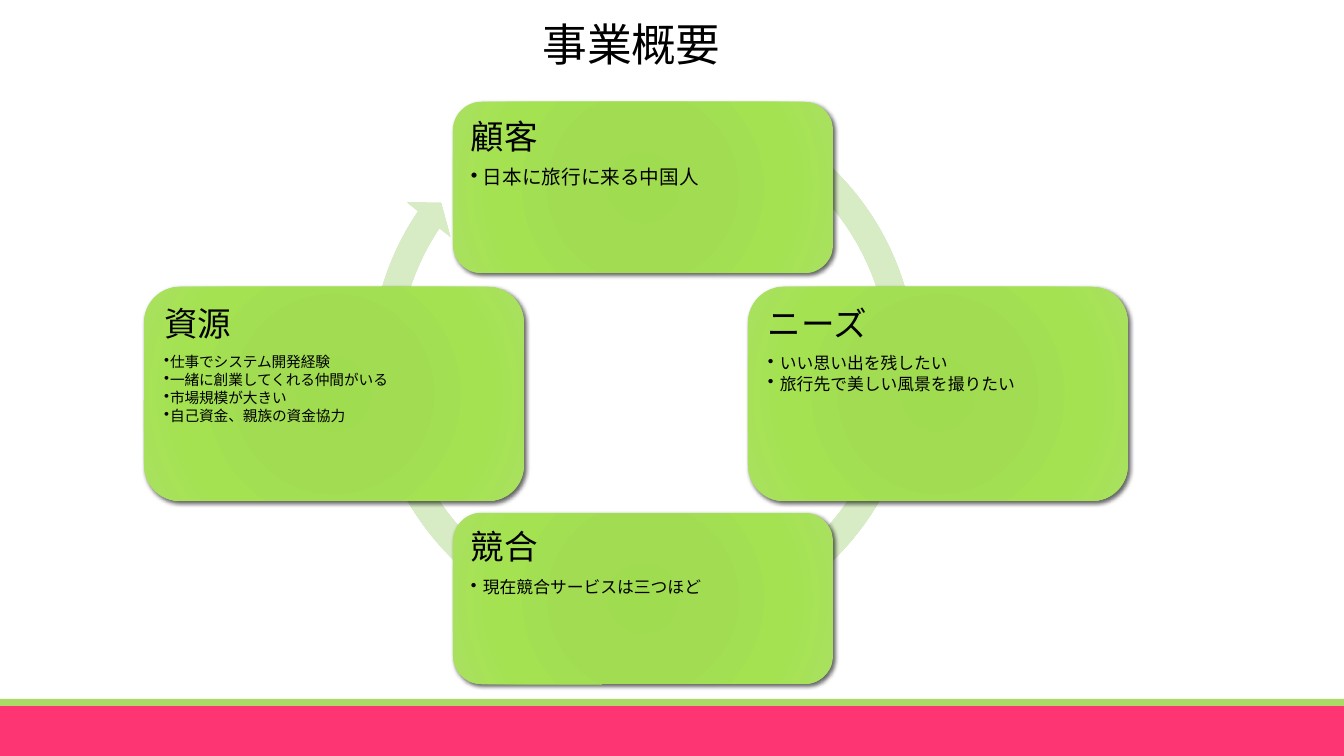
from typing import NamedTuple

from lxml.etree import SubElement
from pptx import Presentation
from pptx.dml.color import RGBColor
from pptx.enum.shapes import MSO_SHAPE as Preset
from pptx.enum.text import MSO_ANCHOR as Anchor, PP_ALIGN as Align
from pptx.oxml import parse_xml
from pptx.oxml.ns import nsdecls, qn
from pptx.util import Emu, Pt

EMU_PER_PIXEL = 914400 / 100.8
PAGE_WIDTH, PAGE_HEIGHT = 1344, 756
TITLE_FONT = "Calibri"
CARD_FONT = "Noto Sans CJK JP"
EAST_ASIAN_FONT = "Calibri"

BLACK = RGBColor(0x00, 0x00, 0x00)
PINK = RGBColor(0xFD, 0x35, 0x73)
GREEN = RGBColor(0xA9, 0xDB, 0x66)
STOPS = (0, 34, 70, 100)
CARD_COLORS = [RGBColor.from_string(c) for c in ("A0DC4F", "A1DC52", "A4E251", "AAE160")]
ARROW_COLORS = [RGBColor.from_string(c) for c in ("D2E5C1", "D4E7C3", "D7EBC5", "E2F3D2")]


class Area(NamedTuple):
    left: int
    top: int
    width: int
    height: int

    def emu(self) -> list[Emu]:
        return [px(value) for value in self]

    def inset(self, gap: int) -> "Area":
        return Area(self.left + gap, self.top + gap,
                    self.width - 2 * gap, self.height - 2 * gap)


class Card(NamedTuple):
    area: Area
    heading: str
    items: list[str]
    item_size: float
    indent: int


CARDS = [
    Card(Area(453, 102, 380, 171), "顧客", ["日本に旅行に来る中国人"], 14, 12),
    Card(Area(748, 287, 380, 214), "ニーズ",
         ["いい思い出を残したい", "旅行先で美しい風景を撮りたい"], 12, 12),
    Card(Area(453, 513, 380, 171), "競合", ["現在競合サービスは三つほど"], 12, 12),
    Card(Area(144, 287, 380, 214), "資源",
         ["仕事でシステム開発経験", "一緒に創業してくれる仲間がいる",
          "市場規模が大きい", "自己資金、親族の資金協力"], 10.5, 6),
]


def px(value: float) -> Emu:
    return Emu(round(value * EMU_PER_PIXEL))


def add_shape(page, preset: Preset, area: Area, color: RGBColor):
    shape = page.shapes.add_shape(preset, *area.emu())
    shape.shadow.inherit = False
    shape.fill.solid()
    shape.fill.fore_color.rgb = color
    shape.line.fill.background()
    return shape


def set_radial_fill(shape, colors: list[RGBColor]) -> None:
    stops = "".join(
        f'<a:gs pos="{stop * 1000}"><a:srgbClr val="{color}"/></a:gs>'
        for stop, color in zip(STOPS, colors))
    gradient = parse_xml(
        f'<a:gradFill {nsdecls("a")} rotWithShape="1"><a:gsLst>{stops}</a:gsLst>'
        '<a:path path="circle"><a:fillToRect l="100000" t="100000" r="100000" b="100000"/>'
        '</a:path></a:gradFill>')
    properties = shape._element.spPr
    properties.replace(properties.find(qn("a:solidFill")), gradient)


def add_shadow(shape) -> None:
    effects = shape._element.spPr.find(qn("a:effectLst"))
    effects.append(parse_xml(
        f'<a:outerShdw {nsdecls("a")} blurRad="{Pt(3)}" dist="{Pt(2)}" dir="2700000" '
        f'rotWithShape="0"><a:srgbClr val="{BLACK}"><a:alpha val="60000"/></a:srgbClr>'
        '</a:outerShdw>'))


def add_text_box(page, area: Area, margin: int):
    frame = page.shapes.add_textbox(*area.emu()).text_frame
    frame.word_wrap = True
    frame.vertical_anchor = Anchor.TOP
    frame.margin_left = frame.margin_right = px(10)
    frame.margin_top = frame.margin_bottom = px(margin)
    return frame


def write(para, text: str, font: str, size: float, spacing: float, after: float = 0):
    """Fill a paragraph; the gap after it is a share of the text size."""
    para.text = text
    para.alignment = Align.LEFT
    para.line_spacing = spacing
    para.space_after = Pt(size * after)
    para.font.name = font
    para.font.size = Pt(size)
    para.font.color.rgb = BLACK
    defaults = para._p.pPr.find(qn("a:defRPr"))
    SubElement(defaults, qn("a:ea")).set("typeface", EAST_ASIAN_FONT)
    return defaults


def add_bullet(para, indent: int) -> None:
    properties = para._p.pPr
    properties.set("marL", str(px(indent)))
    properties.set("indent", str(px(-indent)))
    bullet = parse_xml(f'<a:buChar {nsdecls("a")} char="•"/>')
    properties.find(qn("a:defRPr")).addprevious(bullet)


def add_card(page, card: Card) -> None:
    shape = add_shape(page, Preset.ROUNDED_RECTANGLE, card.area, CARD_COLORS[0])
    set_radial_fill(shape, CARD_COLORS)
    add_shadow(shape)
    # The text keeps clear of the rounded corners
    frame = add_text_box(page, card.area.inset(card.area.height // 20), 10)
    write(frame.paragraphs[0], card.heading, CARD_FONT, 24, 0.9, 0.35)
    for item in card.items:
        para = frame.add_paragraph()
        para.level = 1
        write(para, item, CARD_FONT, card.item_size, 0.9, 0.15)
        add_bullet(para, card.indent)


deck = Presentation()
deck.slide_width, deck.slide_height = px(PAGE_WIDTH), px(PAGE_HEIGHT)
page = deck.slides.add_slide(deck.slide_layouts[6])

# Footer bands
add_shape(page, Preset.RECTANGLE, Area(0, 706, PAGE_WIDTH, 50), PINK)
add_shape(page, Preset.RECTANGLE, Area(0, 699, PAGE_WIDTH, 7), GREEN)

# Title
title = add_text_box(page, Area(533, 20, 252, 70), 5)
write(title.paragraphs[0], "事業概要", TITLE_FONT, 32, 0.85).set("spc", "-50")

# Cycle arrow behind the cards
arrow = add_shape(page, Preset.CIRCULAR_ARROW, Area(357, 78, 573, 573), ARROW_COLORS[0])
for index, percent in enumerate((4.7, 272.9, 12841.1, 18024.3, 4.8)):
    arrow.adjustments[index] = percent / 100
set_radial_fill(arrow, ARROW_COLORS)

# Cards
for card in CARDS:
    add_card(page, card)

deck.save("out.pptx")
